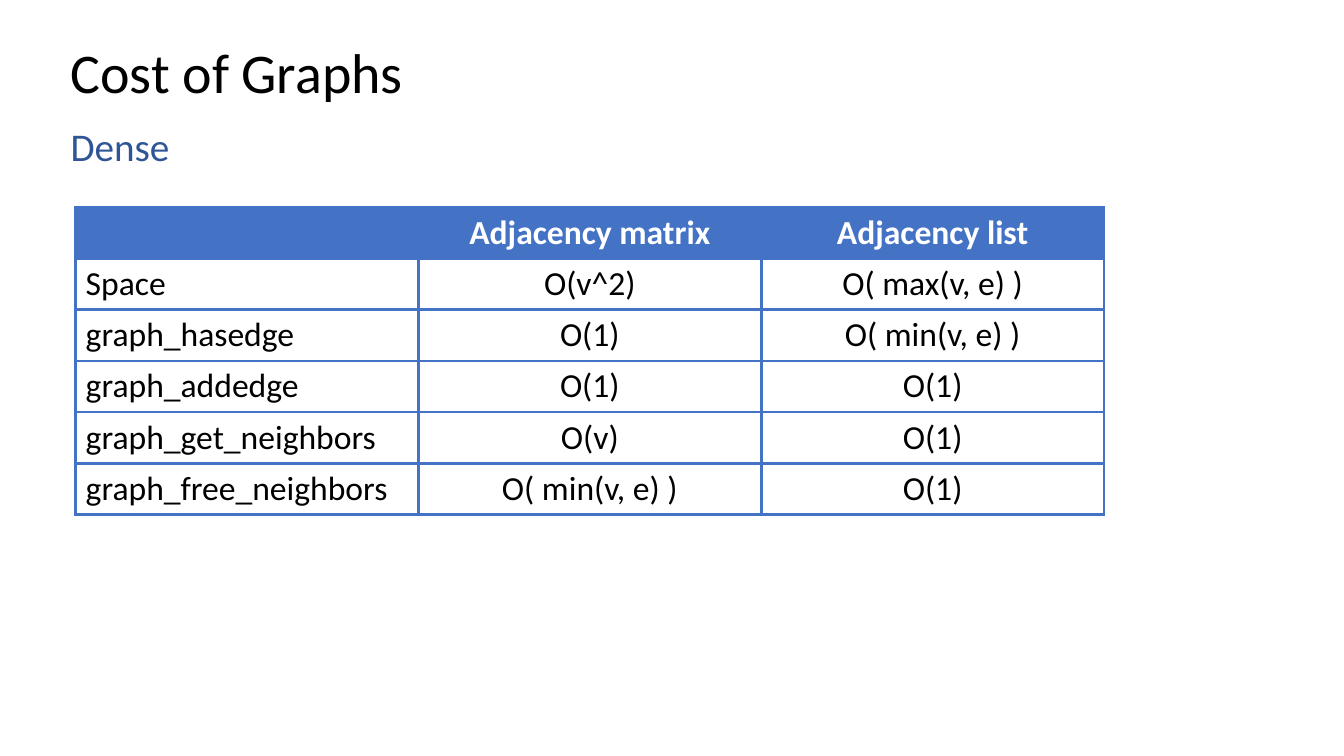
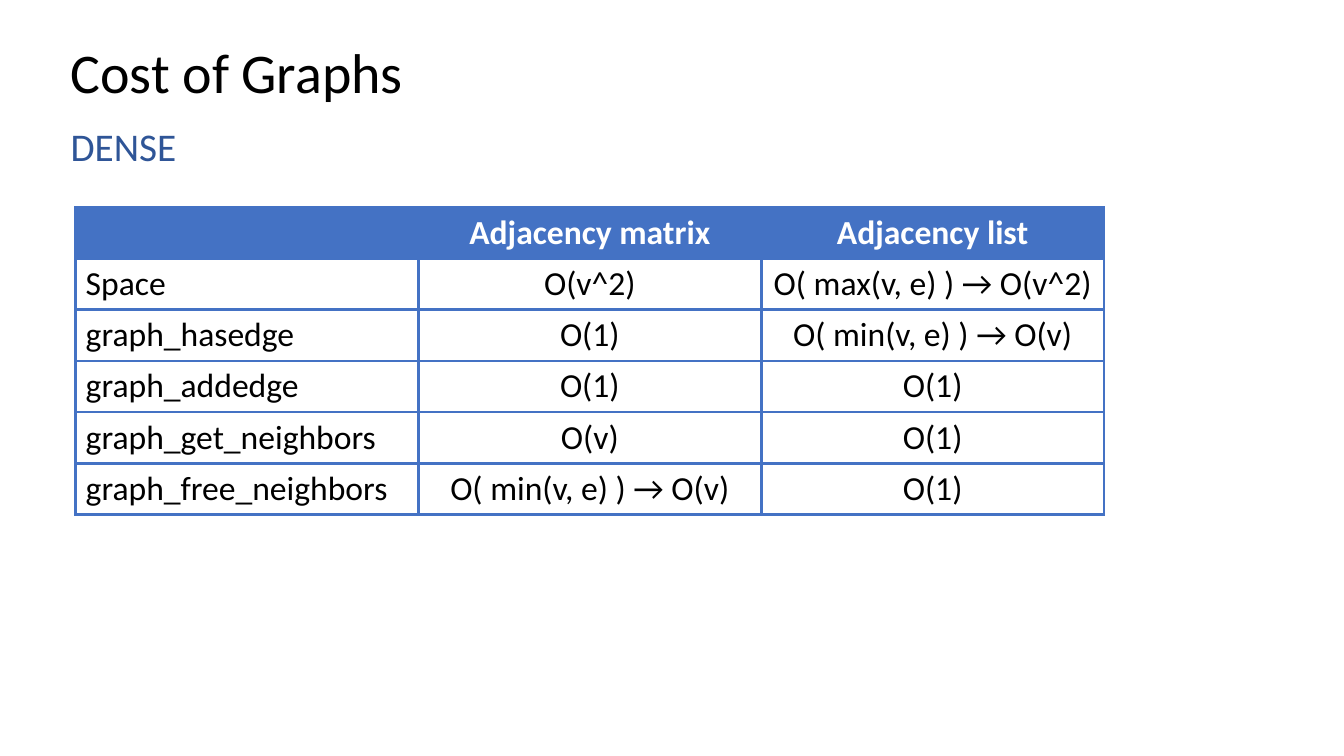
from pptx import Presentation
from pptx.dml.color import RGBColor
from pptx.enum.text import MSO_ANCHOR, MSO_AUTO_SIZE, PP_ALIGN
from pptx.oxml import parse_xml
from pptx.oxml.ns import nsdecls
from pptx.util import Inches, Pt

BLACK, WHITE, BLUE, DARK_BLUE = "000000", "FFFFFF", "4472C4", "2F5597"
FONT = "Calibri"
TITLE = "Cost of Graphs"
HEADER = ["", "Adjacency matrix", "Adjacency list"]
OPERATIONS = ["Space", "graph_hasedge", "graph_addedge",
              "graph_get_neighbors", "graph_free_neighbors"]
COLUMN_WIDTH, ROW_HEIGHT = 3.4, 0.5

# Subtitle, matrix costs, list costs
SLIDES = [
    ("Dense",
     ["O(v^2)", "O(1)", "O(1)", "O(v)", "O( min(v, e) )"],
     ["O( max(v, e) )", "O( min(v, e) )", "O(1)", "O(1)", "O(1)"]),
    ("DENSE",
     ["O(v^2)", "O(1)", "O(1)", "O(v)", "O( min(v, e) ) → O(v)"],
     ["O( max(v, e) ) → O(v^2)", "O( min(v, e) ) → O(v)", "O(1)", "O(1)", "O(1)"]),
]


def write(para, text, size, color, bold=False, align=PP_ALIGN.LEFT):
    para.alignment = align
    span = para.add_run()
    span.text = text
    span.font.name = FONT
    span.font.size = Pt(size)
    span.font.bold = bold
    span.font.color.rgb = RGBColor.from_string(color)


def set_borders(cell, color, width):
    properties = cell._tc.get_or_add_tcPr()
    for position, side in enumerate(["lnL", "lnR", "lnT", "lnB"]):
        properties.insert(position, parse_xml(
            f'<a:{side} {nsdecls("a")} w="{Pt(width)}"><a:solidFill>'
            f'<a:srgbClr val="{color}"/></a:solidFill></a:{side}>'))


deck = Presentation()
deck.slide_width = Inches(13.33)
deck.slide_height = Inches(7.5)

for subtitle, matrix_costs, list_costs in SLIDES:
    page = deck.slides.add_slide(deck.slide_layouts[1])

    for box, text, top, height, size, color, anchor in [
        (page.shapes.title, TITLE, 0.4, 0.69, 40, BLACK, MSO_ANCHOR.MIDDLE),
        (page.placeholders[1], subtitle, 1.22, 0.51, 28, DARK_BLUE, MSO_ANCHOR.TOP),
    ]:
        box.left, box.top = Inches(0.6), Inches(top)
        box.width, box.height = Inches(11.5), Inches(height)
        frame = box.text_frame
        frame.auto_size = MSO_AUTO_SIZE.NONE
        frame.vertical_anchor = anchor
        para = frame.paragraphs[0]
        para.line_spacing = 0.9
        para.space_before = Pt(0)
        write(para, text, size, color)
        properties = para._p.get_or_add_pPr()
        properties.set("marL", "0")
        properties.set("indent", "0")
        properties.append(parse_xml(f'<a:buNone {nsdecls("a")}/>'))

    rows = [HEADER, *zip(OPERATIONS, matrix_costs, list_costs)]
    table = page.shapes.add_table(
        len(rows), len(HEADER), Inches(0.75), Inches(2.06),
        Inches(COLUMN_WIDTH * len(HEADER)), Inches(ROW_HEIGHT * len(rows))).table
    table.horz_banding = False

    for row, texts in enumerate(rows):
        is_header = row == 0
        for column, text in enumerate(texts):
            cell = table.cell(row, column)
            cell.fill.solid()
            cell.fill.fore_color.rgb = RGBColor.from_string(BLUE if is_header else WHITE)
            set_borders(cell, BLUE, 2.25)
            if text:
                write(cell.text_frame.paragraphs[0], text, 24,
                      WHITE if is_header else BLACK, is_header,
                      PP_ALIGN.CENTER if column else PP_ALIGN.LEFT)

deck.save("out.pptx")
